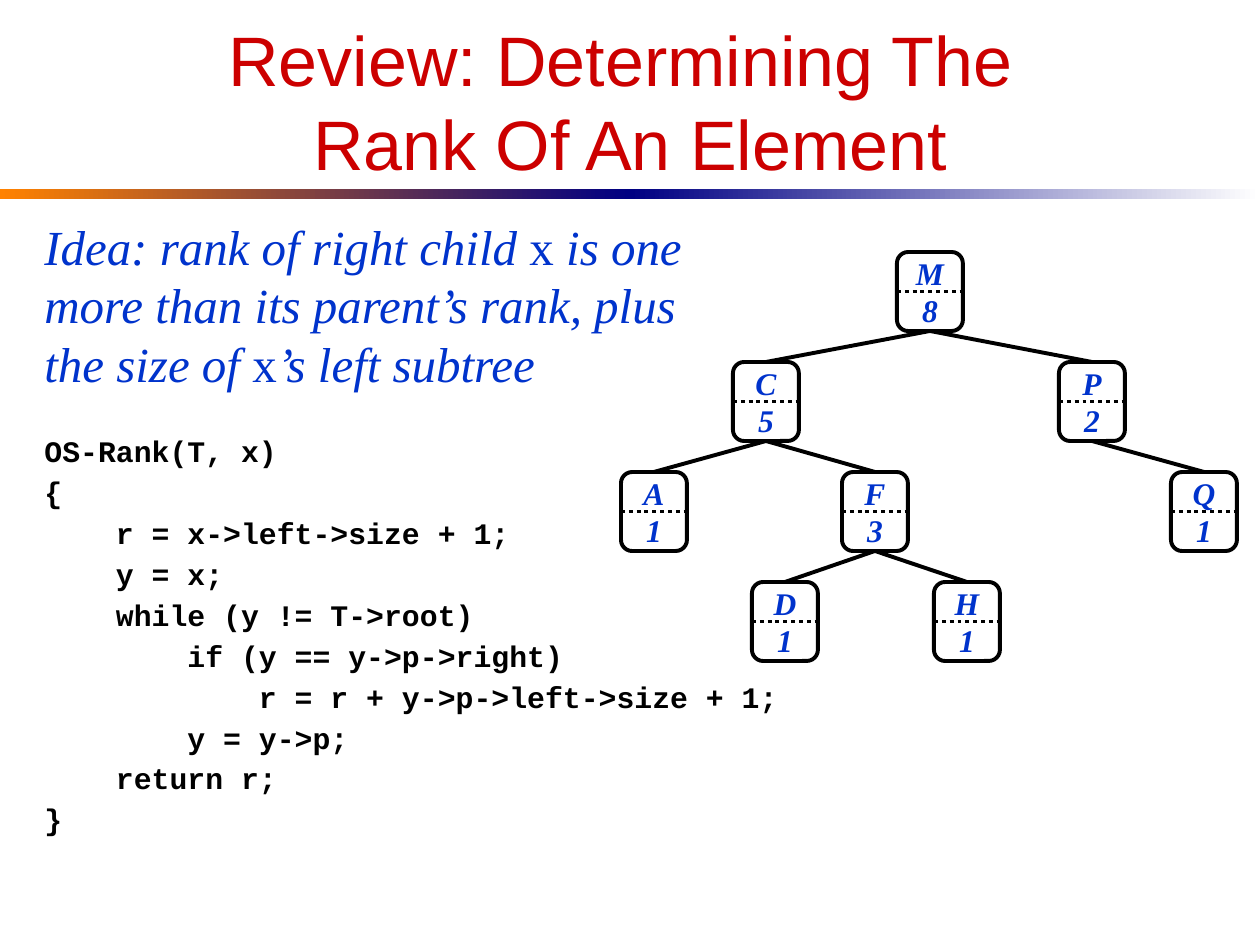
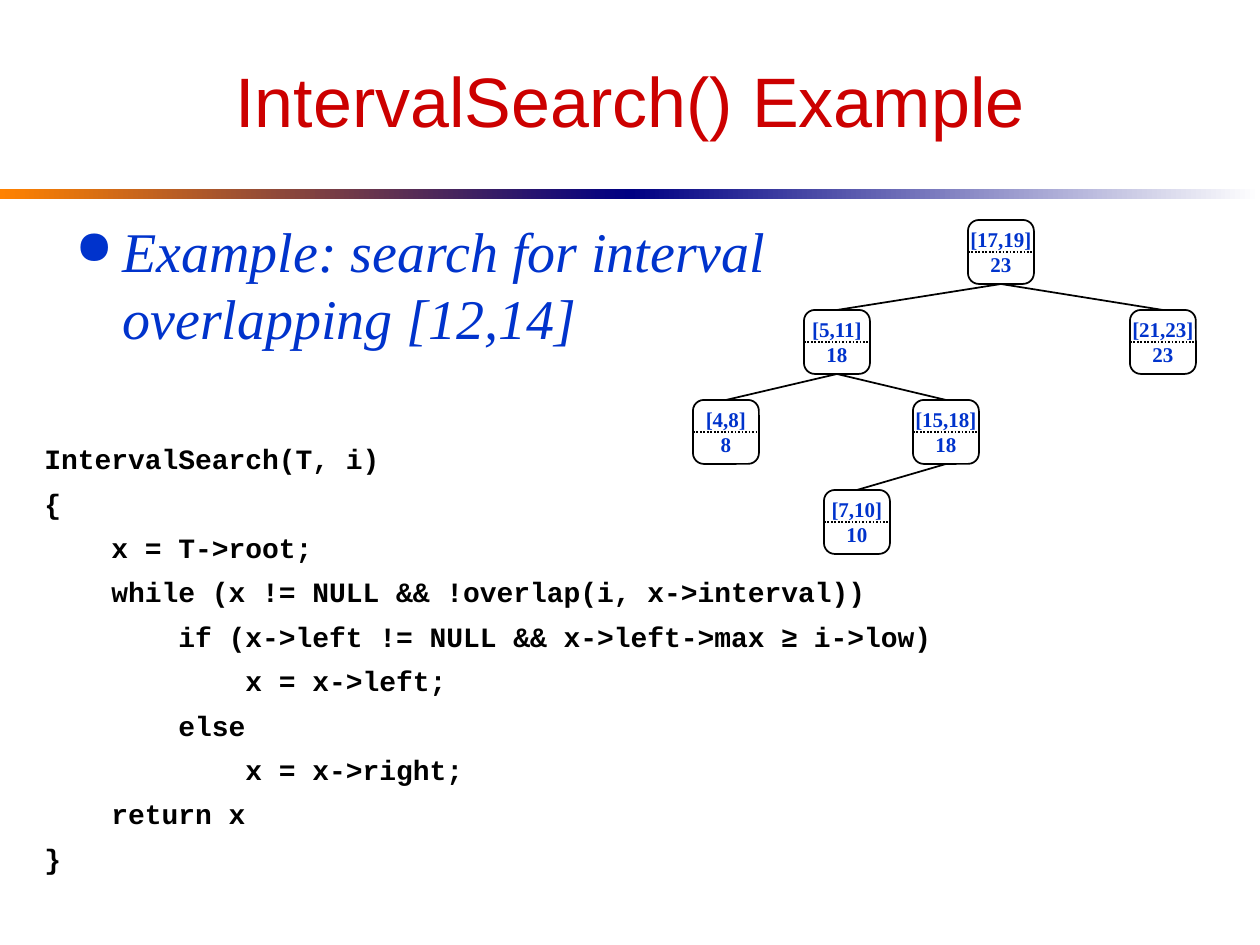
from dataclasses import dataclass

from lxml import etree
from pptx import Presentation, util as u
from pptx.dml.color import RGBColor
from pptx.enum import dml, shapes, text
from pptx.oxml.ns import qn


@dataclass(frozen=True)
class Theme:
    red: str = "CC0000"
    blue: str = "0033CC"
    black: str = "000000"
    navy: str = "000082"
    gold: str = "FF8200"
    white: str = "FFFFFF"
    sans: str = "Arial"
    serif: str = "Times New Roman"
    mono: str = "Courier New"
    head: int = 40


T = Theme()
WIDE, HIGH = 1260, 945
SCALE = 914400 / 126
BANDS = [(0, T.gold, T.navy), (WIDE // 2, T.navy, T.white)]

RANK = """OS-Rank(T, x)
{
    r = x->left->size + 1;
    y = x;
    while (y != T->root)
        if (y == y->p->right)
            r = r + y->p->left->size + 1;
        y = y->p;
    return r;
}"""

SEARCH = """IntervalSearch(T, i)
{
    x = T->root;
    while (x != NULL && !overlap(i, x->interval))
        if (x->left != NULL && x->left->max ≥ i->low)
            x = x->left;
        else
            x = x->right;
    return x
}"""

SLIDES = [
    dict(
        title="Review: Determining The \nRank Of An Element",
        lead=dict(
            at=(32, 210, 683, 189), size=28, bullet=False,
            parts=["Idea: rank of right child ", "x ",
                   "is one more than its parent’s rank, plus the size of ",
                   "x", "’s left subtree"]),
        code=dict(at=(32, 431, 924, 473), size=17, lines=RANK, space=0.9, gap=5),
        tree=dict(
            top=252, step=110, high=79, size=18, italic=True, line=2.25,
            nodes=[("M", 8, 930, 0, None), ("C", 5, 766, 1, "M"),
                   ("P", 2, 1092, 1, "M"), ("Q", 1, 1204, 2, "P"),
                   ("A", 1, 654, 2, "C"), ("F", 3, 875, 2, "C"),
                   ("D", 1, 785, 3, "F"), ("H", 1, 967, 3, "F")]),
    ),
    dict(
        title="IntervalSearch() Example",
        lead=dict(
            at=(63, 210, 1134, 599), size=32, bullet=True,
            parts=["Example: search for interval\noverlapping [12,14]"]),
        code=dict(at=(32, 442, 955, 440), size=16, lines=SEARCH, space=0.8, gap=10),
        tree=dict(
            top=220, step=90, high=64, size=12, italic=False, line=1,
            nodes=[("[17,19]", 23, 1001, 0, None),
                   ("[5,11]", 18, 837, 1, "[17,19]"),
                   ("[21,23]", 23, 1163, 1, "[17,19]"),
                   ("[4,8]", 8, 726, 2, "[5,11]"),
                   ("[15,18]", 18, 946, 2, "[5,11]"),
                   ("[7,10]", 10, 857, 3, "[15,18]")]),
    ),
]


def px(*vals):
    return [u.Emu(round(v * SCALE)) for v in vals]


def style(font, face, size, color, bold=False, italic=False):
    font.name, font.size = face, u.Pt(size)
    font.bold, font.italic = bold, italic
    font.color.rgb = RGBColor.from_string(color)


def fill_para(para, parts, **odd):
    for n, part in enumerate(parts):
        for k, line in enumerate(part.split("\n")):
            if k:
                para.add_line_break()
            run = para.add_run()
            run.text = line
            if n % 2:
                for name, val in odd.items():
                    setattr(run.font, name, val)


def add_box(slide, at):
    frame = slide.shapes.add_textbox(*px(*at)).text_frame
    frame.word_wrap = True
    return frame


def add_bullet(para):
    props = para._p.get_or_add_pPr()
    indent = px(47)[0]
    props.set("marL", str(indent))
    props.set("indent", str(-indent))
    color = etree.SubElement(props, qn("a:buClr"))
    etree.SubElement(color, qn("a:srgbClr"), val=T.blue)
    etree.SubElement(props, qn("a:buSzPct"), val="85000")
    etree.SubElement(props, qn("a:buChar"), char="●")


def add_bands(slide):
    for left, start, end in BANDS:
        band = slide.shapes.add_shape(
            shapes.MSO_SHAPE.RECTANGLE, *px(left, 189, WIDE // 2, 10))
        band.shadow.inherit = False
        band.line.fill.background()
        band.fill.gradient()
        band.fill.gradient_angle = 0
        for stop, color in zip(band.fill.gradient_stops, (start, end)):
            stop.color.rgb = RGBColor.from_string(color)


def add_title(slide, words):
    title = slide.shapes.title
    title.left, title.top, title.width, title.height = px(63, 32, 1134, 136)
    frame = title.text_frame
    frame.auto_size = text.MSO_AUTO_SIZE.NONE
    frame.vertical_anchor = text.MSO_ANCHOR.MIDDLE
    para = frame.paragraphs[0]
    para.text = words
    para.alignment = text.PP_ALIGN.CENTER
    style(para.font, T.sans, T.head, T.red)


def add_lead(slide, at, size, bullet, parts):
    para = add_box(slide, at).paragraphs[0]
    if bullet:
        add_bullet(para)
    fill_para(para, parts, italic=False)
    style(para.font, T.serif, size, T.blue, italic=True)


def add_code(slide, at, size, lines, space, gap):
    frame = add_box(slide, at)
    for n, line in enumerate(lines.split("\n")):
        para = frame.add_paragraph() if n else frame.paragraphs[0]
        left, sign, right = line.partition("≥")
        fill_para(para, [left, sign, right] if sign else [line], name=T.sans)
        para.line_spacing = space
        para.space_before = u.Pt(gap if n else 0)
        style(para.font, T.mono, size, T.black, bold=True)


def join(slide, start, side, end, stop, width, dash=None):
    link = slide.shapes.add_connector(shapes.MSO_CONNECTOR.STRAIGHT, 0, 0, 0, 0)
    link.begin_connect(start, side)
    link.end_connect(end, stop)
    link.line.color.rgb = RGBColor.from_string(T.black)
    link.line.width = u.Pt(width)
    if dash:
        link.line.dash_style = dash
    etree.SubElement(link._element.spPr, qn("a:effectLst"))


def add_node(slide, at, words, size, italic, line):
    node = slide.shapes.add_shape(shapes.MSO_SHAPE.ROUNDED_RECTANGLE, *px(*at))
    node.adjustments[0] = 0.17
    node.shadow.inherit = False
    node.fill.background()
    node.line.color.rgb = RGBColor.from_string(T.black)
    node.line.width = u.Pt(line)
    frame = node.text_frame
    frame.word_wrap = False
    frame.vertical_anchor = text.MSO_ANCHOR.MIDDLE
    para = frame.paragraphs[0]
    para.text = words
    para.alignment = text.PP_ALIGN.CENTER
    style(para.font, T.serif, size, T.blue, bold=True, italic=italic)
    return node


def add_tree(slide, top, step, high, size, italic, line, nodes):
    wide, made = 66, {}
    for key, count, mid, row, _ in nodes:
        at = (mid - wide // 2, top + row * step, wide, high)
        node = add_node(slide, at, f"{key}\n{count}", size, italic, line)
        join(slide, node, 1, node, 3, line, dml.MSO_LINE.ROUND_DOT)
        made[key] = node
    for key, _, _, _, root in nodes:
        if root:
            join(slide, made[root], 2, made[key], 0, line)


def main():
    deck = Presentation()
    deck.slide_width, deck.slide_height = px(WIDE, HIGH)
    for item in SLIDES:
        slide = deck.slides.add_slide(deck.slide_layouts[5])
        add_bands(slide)
        add_title(slide, item["title"])
        add_lead(slide, **item["lead"])
        add_tree(slide, **item["tree"])
        add_code(slide, **item["code"])
    deck.save("out.pptx")


if __name__ == "__main__":
    main()
